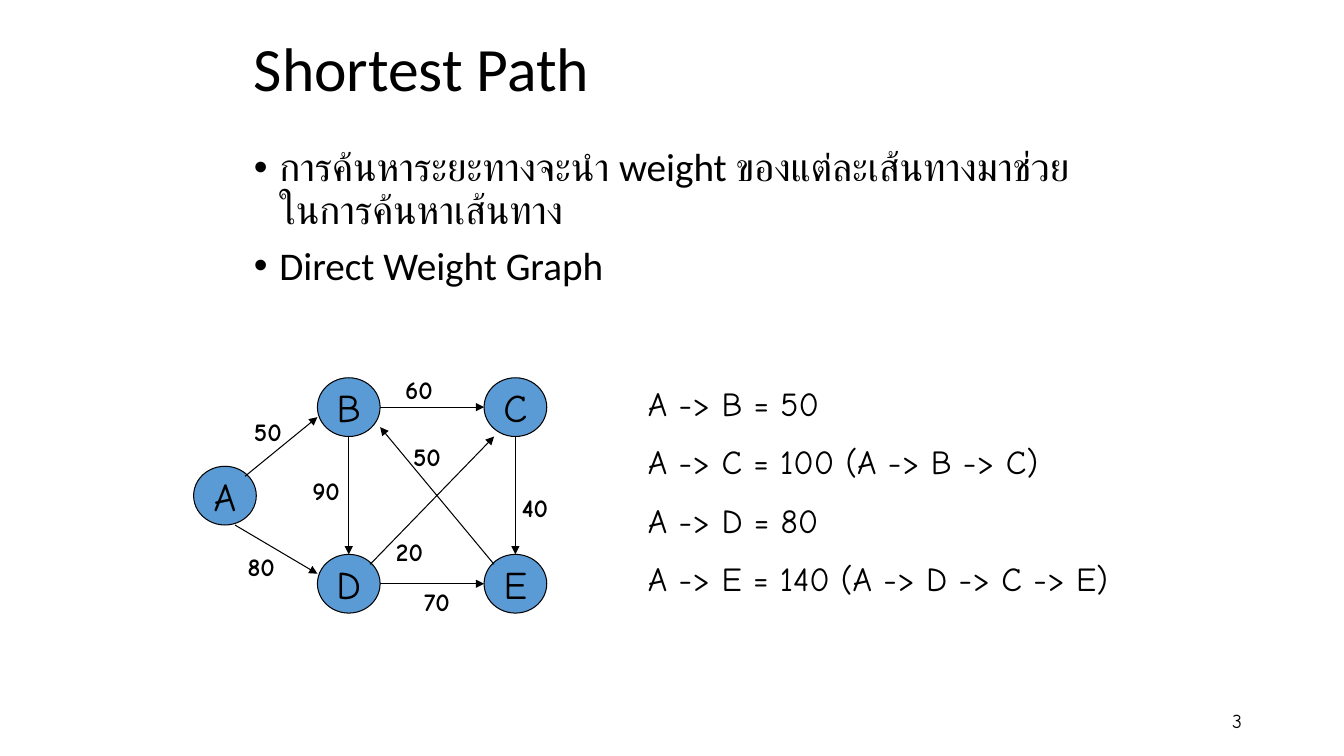
from dataclasses import dataclass

from lxml.etree import SubElement
from pptx import Presentation
from pptx.dml.color import RGBColor
from pptx.enum.shapes import MSO_CONNECTOR as Connector, MSO_SHAPE as Preset
from pptx.enum.text import MSO_ANCHOR as Anchor, PP_ALIGN as Align
from pptx.oxml.ns import qn
from pptx.shapes.autoshape import Shape
from pptx.shapes.shapetree import GroupShapes, SlideShapes
from pptx.util import Cm, Pt

BLACK = "000000"
NODE_BLUE = "5B9BD5"
HEADING_FONT = "Calibri"
GRAPH_FONT = "Comic Neue"
NODE_WIDTH, NODE_HEIGHT = 1.58, 1.48
LABEL_WIDTH, LABEL_HEIGHT = 1.42, 1.02
BULLET_INDENT = Cm(0.64)

# Points on a node, as fractions of its width and height
LEFT, RIGHT, TOP, BOTTOM = (0, 0.5), (1, 0.5), (0.5, 0), (0.5, 1)


@dataclass(frozen=True)
class Node:
    """A graph node with its top left corner in centimetres."""
    name: str
    left: float
    top: float

    def point(self, port: tuple[float, float]) -> tuple[Cm, Cm]:
        """Return the slide position of a port on this node."""
        return (Cm(self.left + port[0] * NODE_WIDTH),
                Cm(self.top + port[1] * NODE_HEIGHT))


@dataclass(frozen=True)
class Edge:
    """A weighted arrow between ports of two nodes, and its label's corner."""
    start: str
    start_port: tuple[float, float]
    end: str
    end_port: tuple[float, float]
    weight: int
    label_left: float
    label_top: float


LEFT_COLUMN, RIGHT_COLUMN = 8, 12.2
TOP_ROW, MIDDLE_ROW, BOTTOM_ROW = 9.52, 11.75, 13.97

NODES = {node.name: node for node in (
    Node("A", 4.88, MIDDLE_ROW),
    Node("B", LEFT_COLUMN, TOP_ROW),
    Node("C", RIGHT_COLUMN, TOP_ROW),
    Node("D", LEFT_COLUMN, BOTTOM_ROW),
    Node("E", RIGHT_COLUMN, BOTTOM_ROW),
)}

EDGES = (
    Edge("A", (0.82, 0.17), "B", (0, 0.67), 50, 6.15, 10.36),
    Edge("A", (0.66, 1), "D", (0, 0.33), 80, 5.99, 13.77),
    Edge("B", BOTTOM, "D", TOP, 90, 7.62, 11.86),
    Edge("B", RIGHT, "C", LEFT, 60, 9.96, 9.32),
    Edge("D", RIGHT, "E", LEFT, 70, 10.44, 14.66),
    Edge("C", BOTTOM, "E", TOP, 40, 12.9, 12.27),
    Edge("E", (0.16, 0.17), "B", (1, 0.84), 50, 10.16, 11),
    Edge("D", (0.84, 0.17), "C", (0.16, 1), 20, 9.73, 13.39),
)

TOPICS = (
    "การค้นหาระยะทางจะนำ weight ของแต่ละเส้นทางมาช่วยในการค้นหาเส้นทาง",
    "Direct Weight Graph",
)

SHORTEST_PATHS = (
    "A -> B = 50",
    "A -> C = 100 (A -> B -> C)",
    "A -> D = 80",
    "A -> E = 140 (A -> D -> C -> E)",
)


def color(value: str) -> RGBColor:
    """Turn a hex string into a colour."""
    return RGBColor.from_string(value)


def write_text(shape: Shape, *lines: str, size: float, font: str = GRAPH_FONT,
               bold: bool = False, align: Align = Align.LEFT,
               anchor: Anchor = Anchor.TOP, wrap: bool = True,
               line_spacing: float = 1, space_before: float = 0,
               bullet: str = "") -> None:
    """Fill a shape with one formatted paragraph for each line."""
    frame = shape.text_frame
    frame.word_wrap = wrap
    frame.vertical_anchor = anchor
    for index, line in enumerate(lines):
        paragraph = frame.add_paragraph() if index else frame.paragraphs[0]
        paragraph.alignment = align
        paragraph.line_spacing = line_spacing
        paragraph.space_before = Pt(space_before)
        if bullet:
            properties = paragraph._p.get_or_add_pPr()
            properties.set("marL", str(BULLET_INDENT))
            properties.set("indent", str(-BULLET_INDENT))
            SubElement(properties, qn("a:buFont")).set("typeface", "Arial")
            SubElement(properties, qn("a:buChar")).set("char", bullet)
        run = paragraph.add_run()
        run.text = line
        run.font.size = Pt(size)
        run.font.name = font
        run.font.bold = bold
        run.font.color.rgb = color(BLACK)


def add_text(shapes: SlideShapes | GroupShapes, left: float, top: float,
             width: float, height: float, *lines: str, **text_format) -> None:
    """Add a text box, placed in centimetres."""
    box = shapes.add_textbox(Cm(left), Cm(top), Cm(width), Cm(height))
    write_text(box, *lines, **text_format)


def draw_node(shapes: GroupShapes, node: Node) -> None:
    """Draw a node as a named ellipse."""
    ellipse = shapes.add_shape(Preset.OVAL, Cm(node.left), Cm(node.top),
                               Cm(NODE_WIDTH), Cm(NODE_HEIGHT))
    ellipse.shadow.inherit = False
    ellipse.fill.solid()
    ellipse.fill.fore_color.rgb = color(NODE_BLUE)
    ellipse.line.color.rgb = color(BLACK)
    ellipse.line.width = Pt(0.75)
    write_text(ellipse, node.name, size=28, align=Align.CENTER,
               anchor=Anchor.MIDDLE, wrap=False)


def draw_edge(shapes: GroupShapes, edge: Edge) -> None:
    """Draw an edge as an arrow with its weight beside it."""
    arrow = shapes.add_connector(Connector.STRAIGHT,
                                 *NODES[edge.start].point(edge.start_port),
                                 *NODES[edge.end].point(edge.end_port))
    arrow.line.color.rgb = color(BLACK)
    arrow.line.width = Pt(0.75)
    SubElement(arrow.line._get_or_add_ln(), qn("a:tailEnd")).set("type", "triangle")
    SubElement(arrow._element.spPr, qn("a:effectLst"))
    add_text(shapes, edge.label_left, edge.label_top, LABEL_WIDTH, LABEL_HEIGHT,
             str(edge.weight), size=18, bold=True)


presentation = Presentation()
presentation.slide_width = Cm(33.87)
presentation.slide_height = Cm(19.05)
slide = presentation.slides.add_slide(presentation.slide_layouts[6])

add_text(slide.shapes, 6.15, 0.43, 19.08, 2.74, "Shortest Path", size=44,
         font=HEADING_FONT, anchor=Anchor.MIDDLE, line_spacing=0.9)
add_text(slide.shapes, 6.15, 3.6, 21.39, 5.08, *TOPICS, size=28,
         font=HEADING_FONT, line_spacing=0.9, space_before=10, bullet="•")
add_text(slide.shapes, 23.93, 17.65, 7.62, 1.02, "3", size=14,
         align=Align.RIGHT, anchor=Anchor.MIDDLE)

graph = slide.shapes.add_group_shape()
for graph_node in NODES.values():
    draw_node(graph.shapes, graph_node)
for graph_edge in EDGES:
    draw_edge(graph.shapes, graph_edge)

add_text(slide.shapes, 16.08, 9.52, 12.27, 5.89, *SHORTEST_PATHS, size=24,
         space_before=13)

presentation.save("out.pptx")
